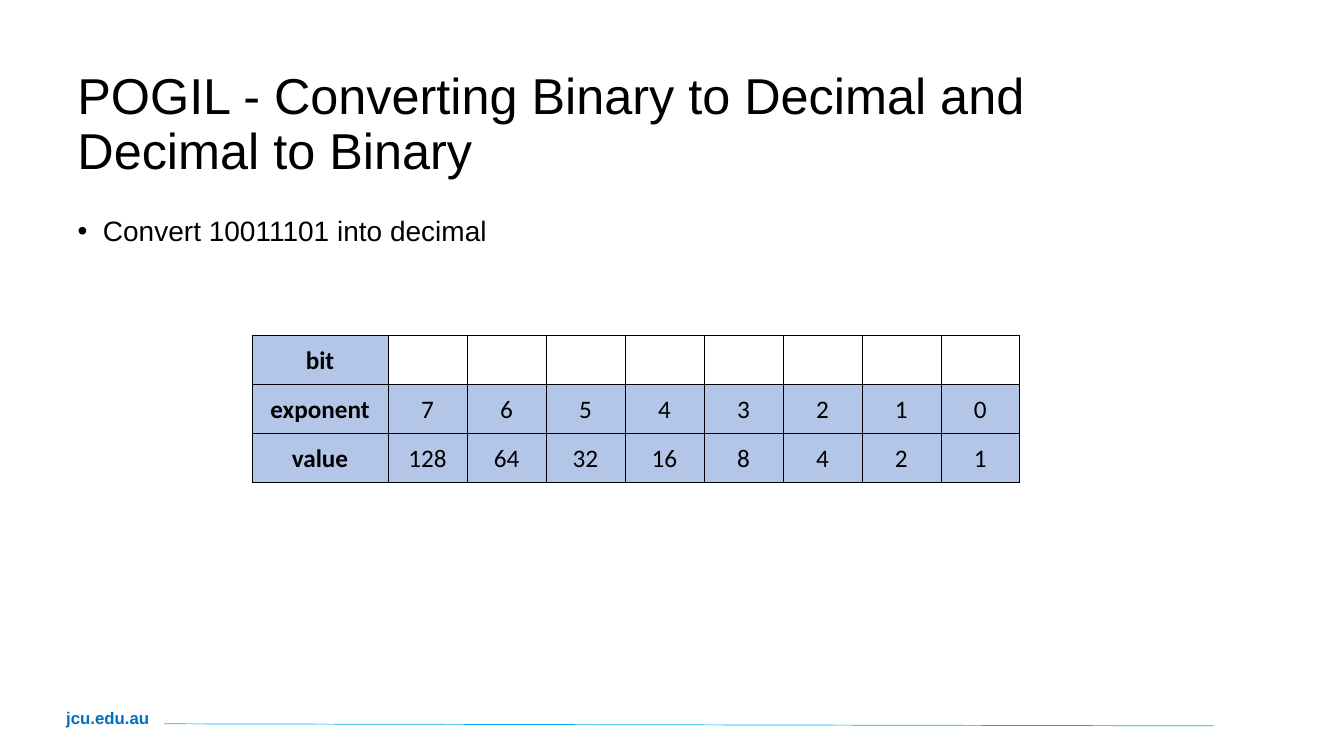
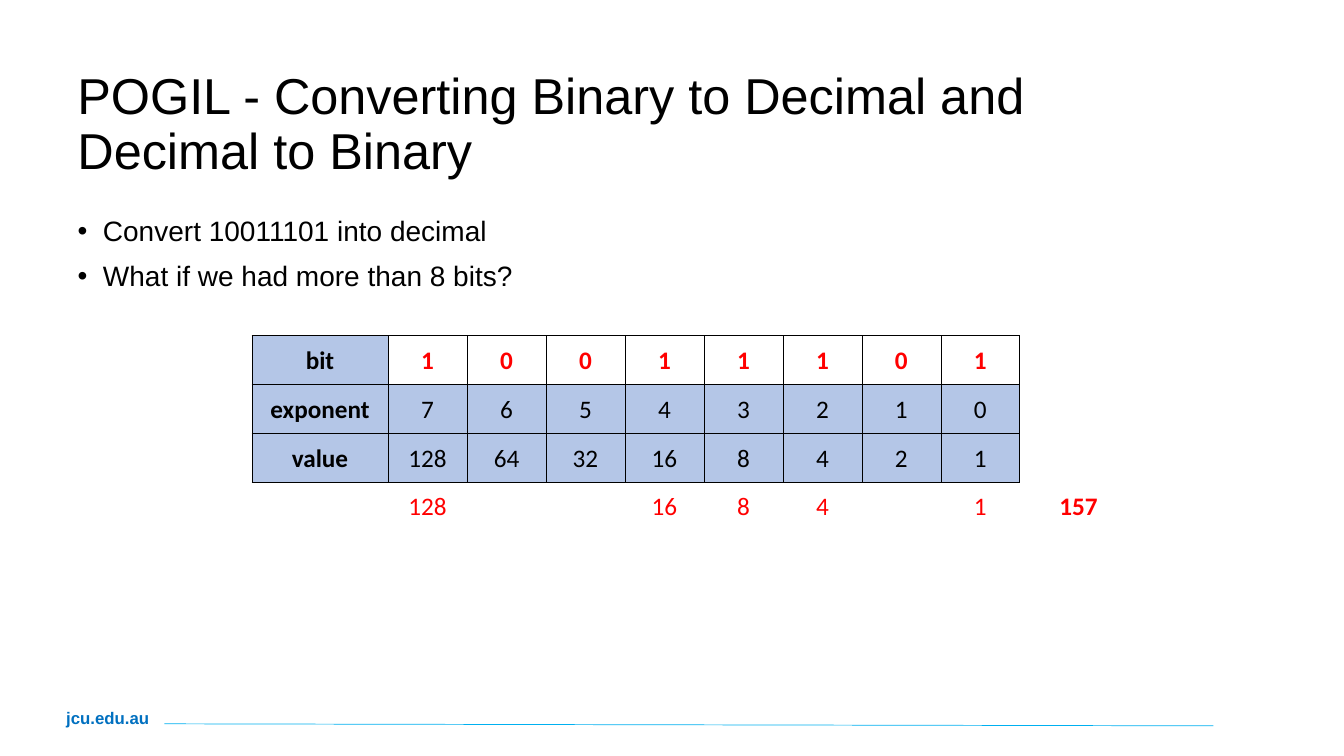
from copy import deepcopy

from lxml import etree
from pptx import Presentation
from pptx.dml.color import RGBColor
from pptx.enum.shapes import MSO_CONNECTOR
from pptx.enum.text import MSO_ANCHOR, MSO_AUTO_SIZE, PP_ALIGN
from pptx.oxml.ns import qn
from pptx.util import Cm, Pt

LEFT, MID, RIGHT = PP_ALIGN.LEFT, PP_ALIGN.CENTER, PP_ALIGN.RIGHT
TOP, CENTER = MSO_ANCHOR.TOP, MSO_ANCHOR.MIDDLE
FIXED = MSO_AUTO_SIZE.NONE
STRAIGHT = MSO_CONNECTOR.STRAIGHT

BLACK = RGBColor(0x00, 0x00, 0x00)
RED = RGBColor(0xFF, 0x00, 0x00)
PALE = RGBColor(0xB4, 0xC6, 0xE7)
BLUE = RGBColor(0x00, 0x70, 0xC0)
CYAN = RGBColor(0x00, 0xB0, 0xF0)

TITLE = "POGIL - Converting Binary to Decimal and\vDecimal to Binary"
TASK = "Convert 10011101 into decimal"
MORE = "What if we had more than 8 bits?"
BITS = "10011101"
COUNT = len(BITS)
POWERS = range(COUNT - 1, -1, -1)
WIDTHS = [Cm(3.43)] + [Cm(1.99)] * (COUNT + 1)
HEIGHT = Cm(1.23)
GRID = 3  # rows that have a frame


def put(para, text, size=18, name="Calibri", color=BLACK, bold=False,
        align=LEFT, line=None, before=0):
    """Fill a paragraph and format its runs and line breaks."""
    para.text = text
    para.alignment = align
    para.line_spacing = line
    para.space_before = Pt(before)
    for run in para.runs:
        font = run.font
        font.size, font.name, font.bold = Pt(size), name, bold
        font.color.rgb = color
    for stop in para._p.findall(qn("a:br")):
        stop.append(deepcopy(para.runs[0]._r.rPr))


def place(shape, left, top, width, height):
    shape.left, shape.top = Cm(left), Cm(top)
    shape.width, shape.height = Cm(width), Cm(height)


def bullet(para):
    props = para._p.get_or_add_pPr()
    props.set("marL", str(Cm(0.64)))
    props.set("indent", str(-Cm(0.64)))
    etree.SubElement(props, qn("a:buFont")).set("typeface", "Arial")
    etree.SubElement(props, qn("a:buChar")).set("char", "•")


def head(slide):
    frame = slide.shapes.title.text_frame
    frame.auto_size, frame.vertical_anchor = FIXED, CENTER
    frame.margin_left = Cm(0.25)
    frame.margin_top = frame.margin_right = frame.margin_bottom = Cm(0.13)
    put(frame.paragraphs[0], TITLE, size=36, name="Arial", line=0.9)


def points(slide, items):
    frame = slide.placeholders[1].text_frame
    frame.auto_size, frame.vertical_anchor = FIXED, TOP
    for i, item in enumerate(items):
        para = frame.add_paragraph() if i else frame.paragraphs[0]
        bullet(para)
        put(para, item, size=20, name="Arial", line=0.9,
            before=10 if i else 0)


def foot(slide):
    box = slide.shapes.add_textbox(Cm(1.42), Cm(17.7), Cm(3.12), Cm(0.76))
    box.text_frame.word_wrap = True
    put(box.text_frame.paragraphs[0], "jcu.edu.au", size=12, name="Arial",
        color=BLUE, bold=True)
    rule = slide.shapes.add_connector(
        STRAIGHT, Cm(4.14), Cm(18.24), Cm(30.58), Cm(18.29))
    rule.line.color.rgb, rule.line.width = CYAN, Pt(0.5)
    etree.SubElement(rule._element.spPr, qn("a:effectLst"))


def border(cell, sides):
    """Draw the named sides in black and clear the others."""
    props = cell._tc.get_or_add_tcPr()
    for i, side in enumerate("LRTB"):
        line = etree.Element(qn("a:ln" + side), w=str(Pt(0.5)))
        if side in sides:
            fill = etree.SubElement(line, qn("a:solidFill"))
            etree.SubElement(fill, qn("a:srgbClr")).set("val", str(BLACK))
        else:
            etree.SubElement(line, qn("a:noFill"))
        props.insert(i, line)


def edges(row, col):
    """Name the sides of a cell that touch the framed grid."""
    if row < GRID:
        return "LRTB" if col <= COUNT else "L"
    return "T" if col <= COUNT else ""


def cells(solved):
    """Return the table's texts, with the bits and the sum when solved."""
    values = [2 ** power for power in POWERS]
    bits, parts, total = [""] * COUNT, [""] * COUNT, ""
    if solved:
        bits = list(BITS)
        parts = [v if bit == "1" else "" for v, bit in zip(values, bits)]
        total = int(BITS, 2)
    return [["bit", *bits, ""], ["exponent", *POWERS, ""],
            ["value", *values, ""], ["", *parts, total]]


def grid(slide, solved):
    rows = cells(solved)
    table = slide.shapes.add_table(
        len(rows), len(WIDTHS), Cm(6.35), Cm(8.46), sum(WIDTHS),
        HEIGHT * len(rows)).table
    table.first_row = table.horz_banding = False
    for col, width in enumerate(WIDTHS):
        table.columns[col].width = width
    for r, row in enumerate(rows):
        for c, text in enumerate(row):
            cell = table.cell(r, c)
            cell.vertical_anchor = CENTER
            cell.margin_left = cell.margin_right = Cm(0.03)
            cell.margin_top, cell.margin_bottom = Cm(0.03), 0
            label, last = c == 0, c > COUNT
            if r < GRID and not last and (label or r > 0):
                cell.fill.solid()
                cell.fill.fore_color.rgb = PALE
            else:
                cell.fill.background()
            border(cell, edges(r, c))
            put(cell.text_frame.paragraphs[0], str(text),
                color=RED if not label and r in (0, GRID) else BLACK,
                bold=label or last or r == 0, align=RIGHT if last else MID)


def main():
    deck = Presentation()
    deck.slide_width, deck.slide_height = Cm(33.87), Cm(19.05)
    layout = deck.slide_layouts[1]
    place(layout.placeholders[0], 1.7, 1.63, 29.82, 3.07)
    place(layout.placeholders[1], 1.7, 5.36, 29.82, 11.81)
    for items, solved in (([TASK], False), ([TASK, MORE], True)):
        slide = deck.slides.add_slide(layout)
        foot(slide)
        head(slide)
        points(slide, items)
        grid(slide, solved)
    deck.save("out.pptx")


if __name__ == "__main__":
    main()
